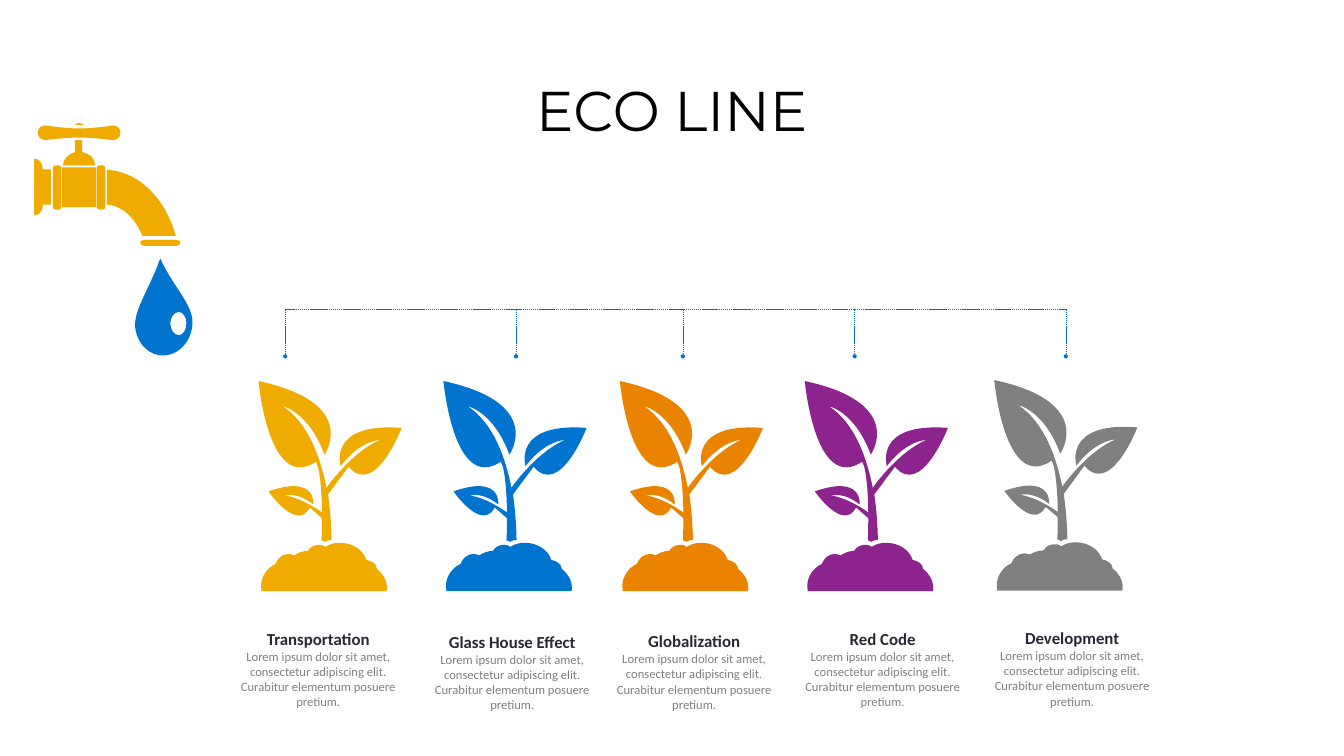
import pptx
import pptx.dml.color
import pptx.enum.dml
import pptx.enum.shapes
import pptx.enum.text
import pptx.oxml.ns
import pptx.util
from lxml import etree

Pt = pptx.util.Pt
qn = pptx.oxml.ns.qn
UNIT = Pt(0.72)  # one outline unit

prs = pptx.Presentation()
prs.slide_width, prs.slide_height = Pt(1920.24), Pt(1080)
s = prs.slides.add_slide(prs.slide_layouts[6])


def rgb(hex_color):
    return pptx.dml.color.RGBColor.from_string(hex_color)


def add_outline(shapes, outline, color, dx=0, dy=0):
    """Contours are split by '|', segments by ';': two numbers are a point, six a curve."""
    fb, sizes = None, []
    for contour in outline.split("|"):
        segments = []
        for seg in contour.split(";"):
            n = [float(v) for v in seg.split()]
            segments.append([(x + dx, y + dy) for x, y in zip(n[::2], n[1::2])])
        start = segments[0][0]
        if fb is None:
            fb = shapes.build_freeform(*start, scale=UNIT)
        else:
            fb.move_to(*start)
        fb.add_line_segments([pt for seg in segments[1:] for pt in seg], close=True)
        sizes += [len(seg) for seg in segments[1:]]
    sp = fb.convert_to_shape()
    # join each three points of a curve into one Bezier segment
    points = iter(list(sp._element.iter(qn("a:lnTo"))))
    for size in sizes:
        node = next(points)
        if size == 3:
            node.tag = qn("a:cubicBezTo")
            for _ in range(2):
                extra = next(points)
                node.append(extra[0])
                extra.getparent().remove(extra)
    sp.shadow.inherit = False
    sp.fill.solid()
    sp.fill.fore_color.rgb = rgb(color)
    sp.line.fill.background()


# Tap
YELLOW, BLUE = "F0AB00", "0074CF"
collar = ("192 411; 192 413 195 416 197 416; 203 416; 207 416 209 413 209 411; 209 333;"
          "209 331 207 328 203 328; 197 328; 195 328 192 331 192 333")
tap_parts = [
    # handle
    "157 255; 188 255 224 249 224 249; 232 248 239 255 239 263; 239 273 232 278 224 278;"
    "224 278 188 273 157 273; 127 273 91 278 91 278; 82 278 75 273 75 263;"
    "75 255 82 248 91 249; 91 249 127 255 157 255",
    # wall flange
    "69 315; 78 315 85 325 85 335; 85 336; 101 336; 101 406; 85 406; 85 408;"
    "85 418 78 427 69 427; 68 427; 68 315",
    # knob
    "157 248; 155 248 152 248 149 248; 151 246 153 244 157 244; 161 244 163 246 166 248;"
    "162 248 160 248 157 248",
    # stem
    "149 302; 149 281; 149 279 149 279 149 278; 163 278; 163 279 163 279 163 281; 163 302;"
    "178 305 189 315 189 328; 125 328; 125 316 136 305 149 302",
    # spout
    "283 468; 267 433 246 409 212 406; 212 337; 276 340 329 395 349 468",
    # lip
    "278 481; 278 485 282 488 287 488; 350 488; 355 488 358 485 358 481;"
    "358 478 355 476 350 476; 287 476; 282 476 278 478 278 481",
]
drop = ("318 513; 341 564 380 602 382 636; 383 671 360 702 328 705; 297 708 271 682 268 647;"
        "267 612 298 570 318 513"
        "|355 665; 363 665 370 655 370 641; 370 629 363 619 355 619;"
        "346 619 338 629 338 641; 338 655 346 665 355 665")

tap = s.shapes.add_group_shape().shapes
sp = tap.add_shape(pptx.enum.shapes.MSO_SHAPE.RECTANGLE, Pt(88.56), Pt(239.04), Pt(48.96), Pt(56.88))
sp.shadow.inherit = False
sp.fill.solid()
sp.fill.fore_color.rgb = rgb(YELLOW)
sp.line.fill.background()
for dx in (0, -87):
    add_outline(tap, collar, YELLOW, dx)
for part in tap_parts:
    add_outline(tap, part, YELLOW)
add_outline(tap, drop, BLUE)

# Plants with captions
soil = ("547 1119; 550 1109 560 1099 573 1099; 577 1099 580 1101 584 1102;"
        "592 1097 601 1093 611 1093; 615 1086 623 1081 633 1081; 638 1081 642 1082 646 1085;"
        "655 1079 665 1077 675 1077; 699 1077 721 1091 727 1111; 738 1113 747 1119 748 1129;"
        "759 1137 768 1151 768 1167; 768 1170 767 1172 767 1173; 519 1173;"
        "519 1170 518 1167 518 1163; 518 1143 531 1126 547 1119")
sprout = ("676 925; 715 873 754 873 754 873; 704 894 657 954 648 968; 636 908 612 839 561 806;"
          "561 806 612 816 644 902; 644 902 716 800 513 756; 513 756 533 979 627 916; 631 926;"
          "635 941 639 979 639 1017; 629 1009 594 987 565 983; 565 983 589 975 622 1001;"
          "622 1001 629 941 533 975; 533 975 589 1056 615 1007; 639 1028;"
          "639 1043 639 1059 638 1072; 640 1072 643 1074 645 1075; 649 1072 653 1072 658 1071;"
          "658 1058 657 1023 651 981; 692 926; 744 988 797 849 797 849; 649 838 676 925 676 925")
body = "Lorem ipsum dolor sit amet, consectetur adipiscing elit. Curabitur elementum posuere pretium."
# heading, colour, plant dx and dy, caption left, top, width, height
plants = [
    ("Transportation", YELLOW, 0, 0, 321.84, 890.64, 265.68, 117.36),
    ("Glass House Effect", BLUE, 367, 0, 599.04, 894.96, 265.68, 117.36),
    ("Globalization", "E98300", 717, 0, 856.08, 894.24, 271.44, 130.32),
    ("Red Code", "8D248D", 1084, 0, 1125.36, 890.64, 271.44, 118.08),
    ("Development", "808080", 1460, -1.5, 1396.08, 889.92, 271.44, 118.08),
]
for heading, color, dx, dy, left, top, width, height in plants:
    plant = s.shapes.add_group_shape().shapes
    add_outline(plant, soil, color, dx, dy)
    add_outline(plant, sprout, color, dx, dy)

    tf = s.shapes.add_textbox(Pt(left), Pt(top), Pt(width), Pt(height)).text_frame
    tf.word_wrap = True
    tf.margin_left = tf.margin_right = Pt(14.4)
    tf.margin_top = tf.margin_bottom = Pt(7.2)
    p = tf.paragraphs[0]
    p.alignment = pptx.enum.text.PP_ALIGN.CENTER
    for text, size, ink, bold in ((heading, 24, "292834", True), (body, 18, "808080", False)):
        r = p.add_run()
        r.text = text
        r.font.name, r.font.size, r.font.bold = "Calibri", Pt(size), bold
        r.font.color.rgb = rgb(ink)
        if bold:
            p.add_line_break()

# Dotted pipe: one rail and five drops ending in dots
RAIL, DROP_END = 442.08, 509.04
drops = [407.52, 737.28, 975.6, 1221.12, 1522.8]
lines = [(drops[0], RAIL, drops[-1], RAIL)] + [(x, RAIL, x, DROP_END) for x in drops]
pipe = s.shapes.add_group_shape().shapes
for x1, y1, x2, y2 in lines:
    cn = pipe.add_connector(pptx.enum.shapes.MSO_CONNECTOR.STRAIGHT, Pt(x1), Pt(y1), Pt(x2), Pt(y2))
    cn.line.color.rgb = rgb("0071CA")
    cn.line.width = Pt(0.75)
    cn.line.dash_style = pptx.enum.dml.MSO_LINE.SQUARE_DOT
    sp_pr = cn._element.spPr
    if x1 == x2:
        etree.SubElement(sp_pr.find(qn("a:ln")), qn("a:tailEnd"), type="oval")
    etree.SubElement(sp_pr, qn("a:effectLst"))

# Title
tf = s.shapes.add_textbox(Pt(131.76), Pt(57.6), Pt(1656), Pt(208.8)).text_frame
tf.word_wrap = True
tf.vertical_anchor = pptx.enum.text.MSO_ANCHOR.MIDDLE
p = tf.paragraphs[0]
p.alignment = pptx.enum.text.PP_ALIGN.CENTER
p.line_spacing = 0.9
r = p.add_run()
r.text = "ECO LINE"
r.font.name, r.font.size = "Montserrat", Pt(80)
r.font.color.rgb = rgb("000000")

prs.save("out.pptx")
